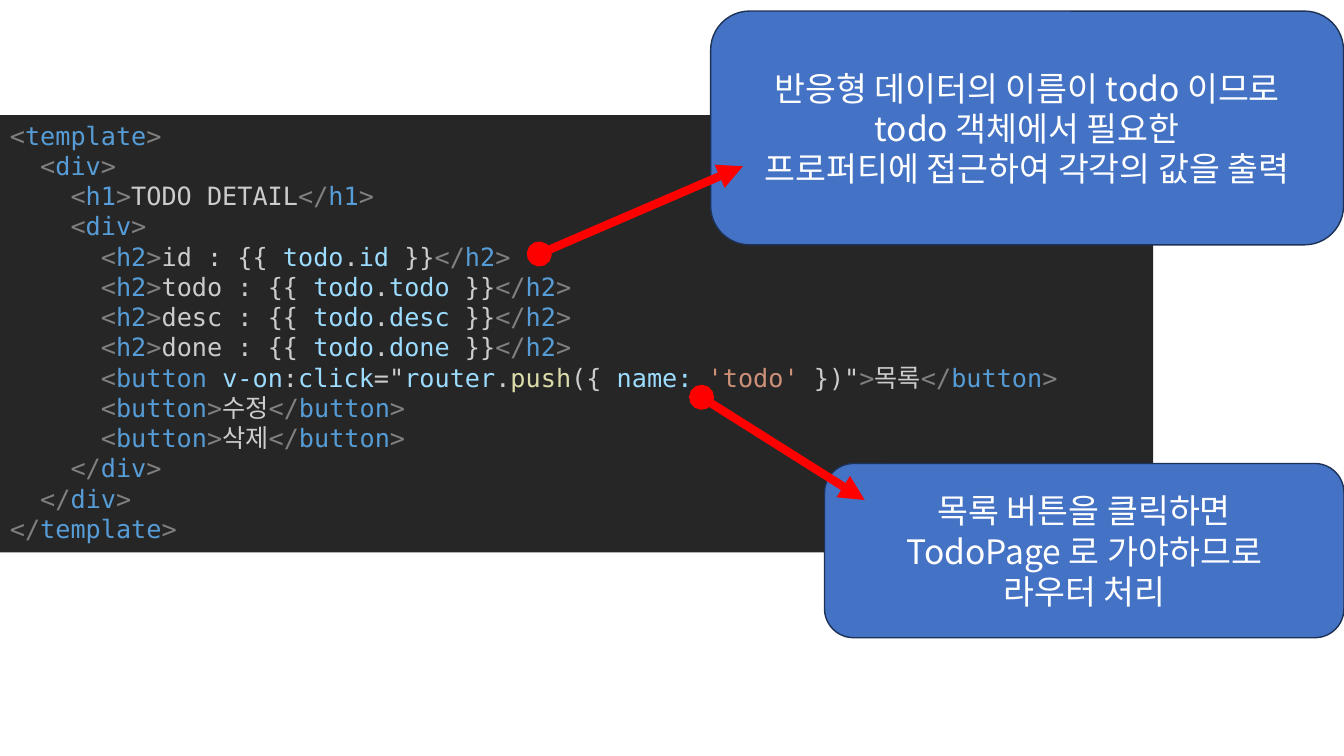
from lxml.etree import SubElement
from pptx import Presentation
from pptx.dml.color import RGBColor
from pptx.enum.shapes import MSO_CONNECTOR, MSO_SHAPE
from pptx.enum.text import MSO_ANCHOR, PP_ALIGN
from pptx.oxml.ns import qn
from pptx.util import Cm, Pt

PANEL = RGBColor(0x26, 0x26, 0x26)
BLUE = RGBColor(0x44, 0x72, 0xC4)
NAVY = RGBColor(0x1E, 0x32, 0x56)
RED = RGBColor(0xFF, 0x00, 0x00)
WHITE = RGBColor(0xFF, 0xFF, 0xFF)
BRACKET = RGBColor(0x80, 0x80, 0x80)
TAG = RGBColor(0x56, 0x9C, 0xD6)
PLAIN = RGBColor(0xCC, 0xCC, 0xCC)
VARIABLE = RGBColor(0x9C, 0xDC, 0xFE)
METHOD = RGBColor(0xDC, 0xDC, 0xAA)
STRING = RGBColor(0xCE, 0x91, 0x78)

CODE_FONT, KOREAN_FONT = "DejaVu Sans Mono", "Noto Sans CJK KR"
LINE_HEIGHT = 1.2


# Coloured pieces of the code: (text, colour)
def opening(name, attributes=()):
    return [("<", BRACKET), (name, TAG), *attributes, (">", BRACKET)]


def closing(name):
    return [("</", BRACKET), (name, TAG), (">", BRACKET)]


def element(name, content, attributes=()):
    return opening(name, attributes) + content + closing(name)


def field_line(field):
    return element("h2", [
        (f"{field} : {{{{ ", PLAIN), ("todo", VARIABLE), (".", PLAIN),
        (field, VARIABLE), (" }}", PLAIN)])


# Content
CLICK = [
    (" ", TAG), ("v-on", VARIABLE), (":", PLAIN), ("click", VARIABLE),
    ('="', PLAIN), ("router", VARIABLE), (".", PLAIN), ("push", METHOD),
    ("({ ", PLAIN), ("name: ", VARIABLE), ("'todo'", STRING), (' })"', PLAIN),
]
CODE = [  # (indent level, pieces)
    (0, opening("template")),
    (1, opening("div")),
    (2, element("h1", [("TODO DETAIL", PLAIN)])),
    (2, opening("div")),
    *[(3, field_line(field)) for field in ("id", "todo", "desc", "done")],
    (3, element("button", [("목록", PLAIN)], CLICK)),
    (3, element("button", [("수정", PLAIN)])),
    (3, element("button", [("삭제", PLAIN)])),
    (2, closing("div")),
    (1, closing("div")),
    (0, closing("template")),
]
CODE_BOX = (0, 2.9, 29.06, 11.02)
CALLOUTS = [
    {"box": (17.91, 0.28, 15.95, 5.89),
     "arrow": (13.59, 6.4, 18.72, 4.19),
     "lines": ["반응형 데이터의 이름이 todo 이므로",
               "todo 객체에서 필요한",
               "프로퍼티에 접근하여 각각의 값을 출력"]},
    {"box": (20.78, 11.68, 13.09, 4.39),
     "arrow": (17.68, 10.01, 21.79, 12.6),
     "lines": ["목록 버튼을 클릭하면",
               "TodoPage 로 가야하므로",
               "라우터 처리"]},
]


def add_panel(page, preset, box, fill):
    panel = page.shapes.add_shape(preset, *map(Cm, box))
    panel.shadow.inherit = False
    panel.fill.solid()
    panel.fill.fore_color.rgb = fill
    panel.line.fill.background()
    panel.text_frame.word_wrap = True
    return panel


def write_lines(frame, lines, font, size, align):
    for number, pieces in enumerate(lines):
        para = frame.paragraphs[0] if number == 0 else frame.add_paragraph()
        para.alignment = align
        para.line_spacing = Pt(size * LINE_HEIGHT)
        for text, colour in pieces:
            span = para.add_run()
            span.text = text
            span.font.name = font
            span.font.size = Pt(size)
            span.font.color.rgb = colour
            east_asian = SubElement(span.font._element, qn("a:ea"))
            east_asian.set("typeface", KOREAN_FONT)


def add_arrow(page, ends):
    arrow = page.shapes.add_connector(MSO_CONNECTOR.STRAIGHT, *map(Cm, ends))
    arrow.line.color.rgb = RED
    arrow.line.width = Pt(6)
    outline = arrow.line._get_or_add_ln()
    SubElement(outline, qn("a:headEnd")).set("type", "oval")
    SubElement(outline, qn("a:tailEnd")).set("type", "triangle")
    SubElement(arrow._element.spPr, qn("a:effectLst"))


def main():
    deck = Presentation()
    deck.slide_width, deck.slide_height = Cm(33.87), Cm(19.05)
    page = deck.slides.add_slide(deck.slide_layouts[6])

    # Code panel
    panel = add_panel(page, MSO_SHAPE.RECTANGLE, CODE_BOX, PANEL)
    panel.text_frame.vertical_anchor = MSO_ANCHOR.TOP
    code_lines = [([("  " * level, PLAIN)] if level else []) + pieces
                  for level, pieces in CODE]
    write_lines(panel.text_frame, code_lines, CODE_FONT, 18, PP_ALIGN.LEFT)

    # Callouts with their arrows
    for callout in CALLOUTS:
        bubble = add_panel(page, MSO_SHAPE.ROUNDED_RECTANGLE, callout["box"], BLUE)
        bubble.line.color.rgb = NAVY
        bubble.line.width = Pt(1)
        bubble.text_frame.vertical_anchor = MSO_ANCHOR.MIDDLE
        lines = [[(text, WHITE)] for text in callout["lines"]]
        write_lines(bubble.text_frame, lines, KOREAN_FONT, 24, PP_ALIGN.CENTER)
        add_arrow(page, callout["arrow"])

    deck.save("out.pptx")


if __name__ == "__main__":
    main()
